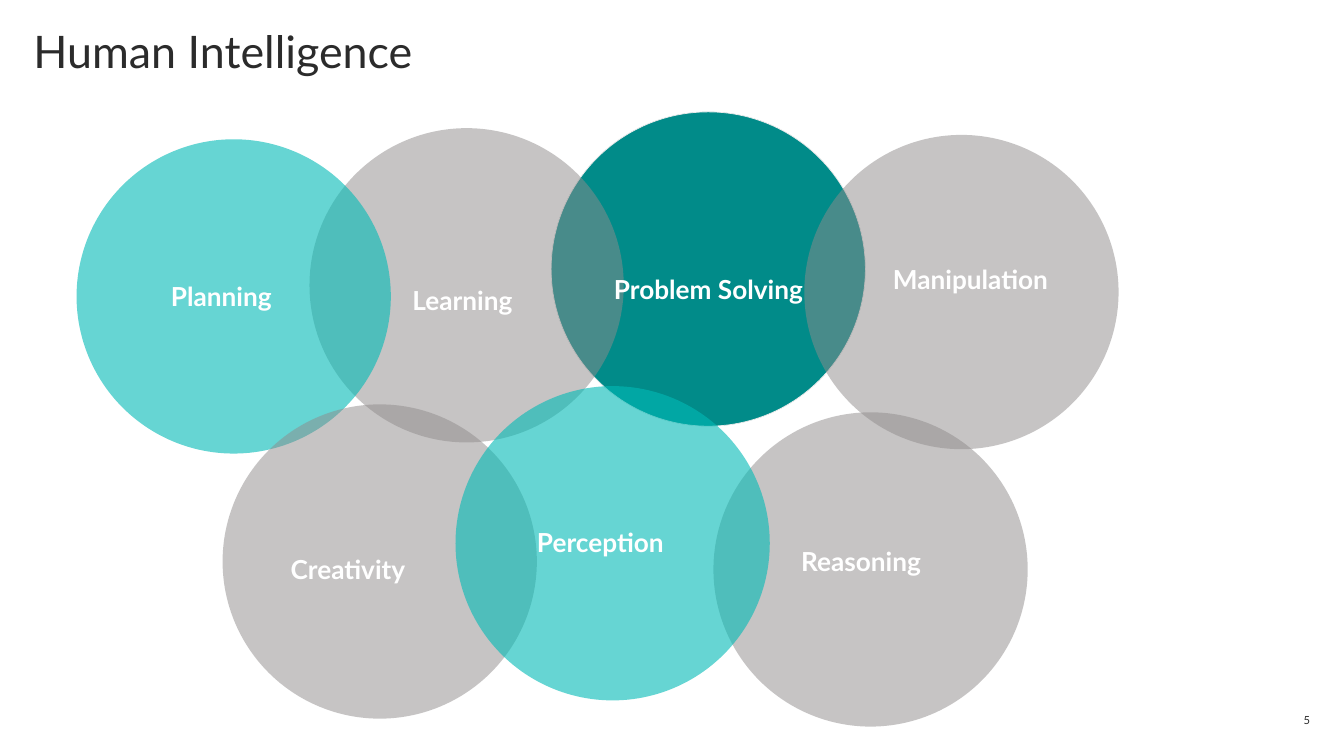
from lxml import etree
from pptx import Presentation
from pptx.dml.color import RGBColor
from pptx.enum import shapes, text
from pptx.oxml import ns
from pptx.util import Cm, Pt

COLOURS = {"ink": "2B2B2B", "white": "FFFFFF", "teal": "018B89",
           "aqua": "01BAB6", "grey": "8F8B8B", "rim": "EAEAEA"}
OPACITY = {"teal": 100, "aqua": 60, "grey": 50}
DIAMETER = 7.92
LABEL_HEIGHT = 1.07

# Back to front: name, colour, circle left and top,
# then label left and top within the circle, and label width (cm)
ABILITIES = [
    ("Problem Solving", "teal", 13.89, 2.82, 1.16, 3.94, 5.61),
    ("Learning", "grey", 7.8, 3.23, 2.24, 3.81, 3.23),
    ("Planning", "aqua", 1.93, 3.51, 2.01, 3.43, 3.28),
    ("Creativity", "grey", 5.61, 10.19, 1.37, 3.63, 3.58),
    ("Reasoning", "grey", 17.98, 10.39, 1.83, 3.23, 3.78),
    ("Perception", "aqua", 11.48, 9.73, 1.68, 3.41, 3.94),
    ("Manipulation", "grey", 20.27, 3.4, 1.88, 3.1, 4.62),
]


def colour(name):
    return RGBColor.from_string(COLOURS[name])


def add_text(page, words, box, size, ink, align, inset=(0, 0), bold=False):
    """Place one line of text in box (left, top, width, height)."""
    frame = page.shapes.add_textbox(*map(Cm, box)).text_frame
    frame.margin_left = frame.margin_right = Cm(inset[0])
    frame.margin_top = frame.margin_bottom = Cm(inset[1])
    frame.word_wrap = True
    para = frame.paragraphs[0]
    para.text = words
    para.alignment = align
    para.font.name = "Lato"
    para.font.size = Pt(size)
    para.font.bold = bold
    para.font.color.rgb = colour(ink)
    return frame


def add_circle(page, left, top, fill):
    circle = page.shapes.add_shape(
        shapes.MSO_SHAPE.OVAL, Cm(left), Cm(top), Cm(DIAMETER), Cm(DIAMETER))
    circle.shadow.inherit = False
    circle.fill.solid()
    circle.fill.fore_color.rgb = colour(fill)
    if OPACITY[fill] < 100:
        circle.line.fill.background()
        tint = circle._element.spPr.find(".//" + ns.qn("a:srgbClr"))
        alpha = etree.SubElement(tint, ns.qn("a:alpha"))
        alpha.set("val", str(OPACITY[fill] * 1000))
    else:
        circle.line.color.rgb = colour("rim")
        circle.line.width = Pt(0.5)


def add_label(page, name, box):
    frame = add_text(page, name, box, 18.7, "white", text.PP_ALIGN.CENTER,
                     inset=(0.25, 0.13), bold=True)
    frame.word_wrap = False
    frame.auto_size = text.MSO_AUTO_SIZE.SHAPE_TO_FIT_TEXT


def add_abilities(page, abilities):
    """Draw every circle first, so that no circle covers a label."""
    for _, fill, left, top, *_ in abilities:
        add_circle(page, left, top, fill)
    for name, _, left, top, label_left, label_top, width in abilities:
        add_label(page, name, (left + label_left, top + label_top,
                               width, LABEL_HEIGHT))


def add_title(page, box):
    frame = add_text(page, "Human Intelligence", box, 32, "ink",
                     text.PP_ALIGN.LEFT)
    frame.paragraphs[0].line_spacing = 0.9


def add_page_number(page, box):
    frame = add_text(page, "5", box, 8, "ink", text.PP_ALIGN.RIGHT)
    frame.vertical_anchor = text.MSO_ANCHOR.MIDDLE


def main():
    deck = Presentation()
    deck.slide_width, deck.slide_height = Cm(33.87), Cm(19.05)
    page = deck.slides.add_slide(deck.slide_layouts[6])

    # Title and page number
    add_title(page, (0.84, 0.74, 15.24, 1.42))
    add_page_number(page, (25.4, 17.88, 7.62, 0.51))

    # Overlapping circles
    add_abilities(page, ABILITIES)

    deck.save("out.pptx")


if __name__ == "__main__":
    main()
